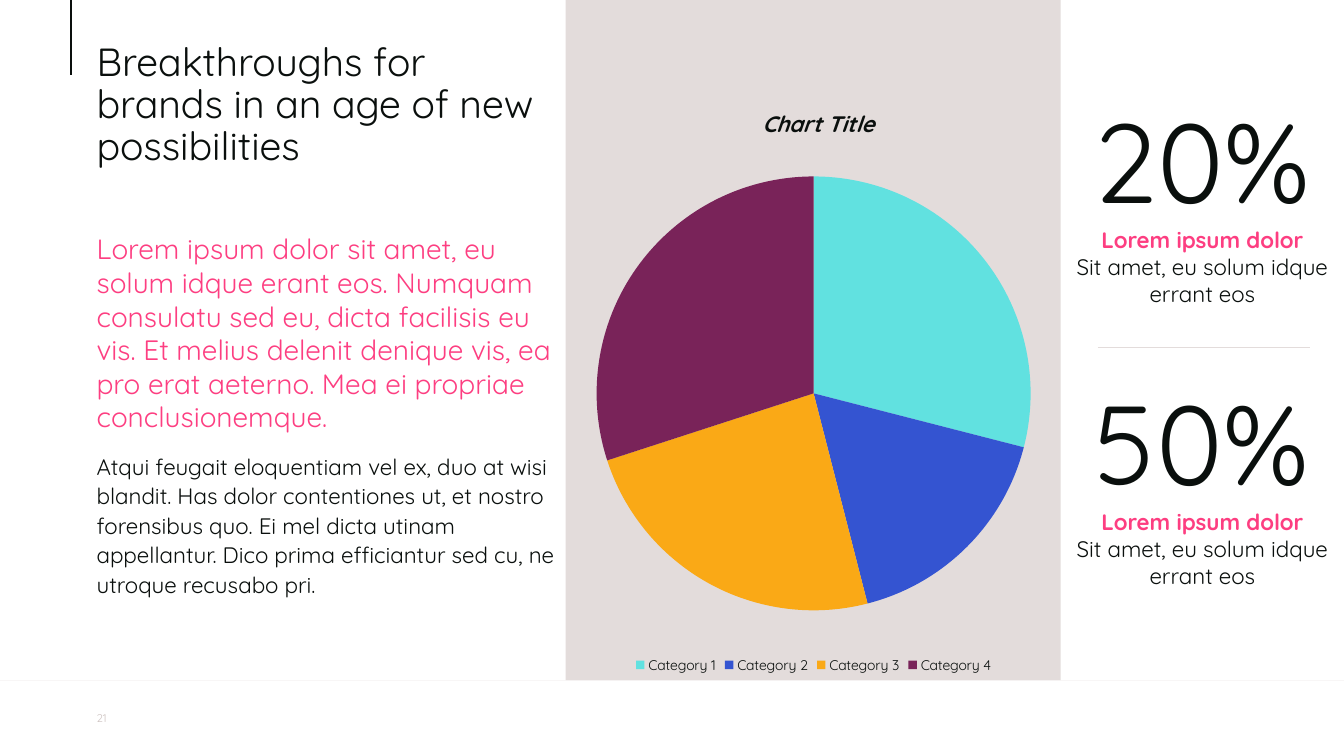
import pptx
import pptx.chart.data
import pptx.dml.color
import pptx.enum.chart
import pptx.enum.shapes
import pptx.enum.text
import pptx.oxml
import pptx.oxml.ns
import pptx.util

EMU_PER_PX = 9144
FONT = "Quicksand"
INK, PINK, SAND, WHITE, MUTED = "0A0F0D", "FD3E81", "E3DCDB", "FFFFFF", "CEC3C1"
SLICES = [
    ("Category 1", 29, "61E1E0"),
    ("Category 2", 17, "3454D1"),
    ("Category 3", 24, "FAA916"),
    ("Category 4", 30, "792359"),
]
STATS = [
    ("20%", "Lorem ipsum dolor", "Sit amet, eu solum idque errant eos"),
    ("50%", "Lorem ipsum dolor", "Sit amet, eu solum idque errant eos"),
]
LEAD = (
    "Lorem ipsum dolor sit amet, eu solum idque erant eos. Numquam consulatu sed eu, "
    "dicta facilisis eu vis. Et melius delenit denique vis, ea pro erat aeterno. "
    "Mea ei propriae conclusionemque."
)
DETAIL = (
    "Atqui feugait eloquentiam vel ex, duo at wisi blandit. Has dolor contentiones ut, "
    "et nostro forensibus quo. Ei mel dicta utinam appellantur. Dico prima efficiantur "
    "sed cu, ne utroque recusabo pri."
)


def px(length):
    return pptx.util.Emu(length * EMU_PER_PX)


def color(value):
    return pptx.dml.color.RGBColor.from_string(value)


def apply(target, values):
    for name, value in values.items():
        setattr(target, name, value)


def style_font(font, size, fill=INK, **extra):
    apply(font, {"name": FONT, "size": pptx.util.Pt(size), **extra})
    font.color.rgb = color(fill)


def add_panel(slide, box, fill):
    shape = slide.shapes.add_shape(
        pptx.enum.shapes.MSO_SHAPE.RECTANGLE, *map(px, box)
    )
    shape.shadow.inherit = False
    shape.fill.solid()
    shape.fill.fore_color.rgb = color(fill)
    shape.line.fill.background()
    return shape


def add_rule(slide, start, end, fill, width):
    connector = slide.shapes.add_connector(
        pptx.enum.shapes.MSO_CONNECTOR.STRAIGHT, *map(px, start + end)
    )
    connector.line.color.rgb = color(fill)
    connector.line.width = pptx.util.Pt(width)
    properties = connector._element.spPr
    properties.append(pptx.oxml.parse_xml(
        f"<a:effectLst {pptx.oxml.ns.nsdecls('a')}/>"
    ))


def write(frame, paragraphs, **frame_format):
    apply(frame, {"word_wrap": True, **frame_format})
    for index, (text, font, layout) in enumerate(paragraphs):
        paragraph = frame.add_paragraph() if index else frame.paragraphs[0]
        run = paragraph.add_run()
        run.text = text
        style_font(run.font, **font)
        apply(paragraph, layout)


def add_text(slide, box, paragraphs, **frame_format):
    shape = slide.shapes.add_textbox(*map(px, box))
    write(shape.text_frame, paragraphs, **frame_format)


def add_story(slide, box):
    left, top, width, height = box
    add_panel(slide, box, WHITE)
    add_rule(slide, (left + 70, top), (left + 70, top + 74), INK, 1.5)
    title = "Breakthroughs for brands in an age of new possibilities"
    add_text(
        slide, (left + 86, top + 37, width - 86, 188),
        [(title, {"size": 28}, {"line_spacing": 0.9})],
    )
    after = pptx.util.Pt(12)
    add_text(slide, (left + 86, top + 225, width - 86, height - 226), [
        (LEAD, {"size": 20, "fill": PINK}, {"space_after": after}),
        (DETAIL, {"size": 16}, {"line_spacing": 1.1, "space_after": after}),
    ])


def add_footer(slide, box):
    left, top, width, height = box
    add_panel(slide, box, WHITE)
    add_text(
        slide, (left + 86, top + 21, 54, 32),
        [("21", {"size": 8, "fill": MUTED}, {})],
        vertical_anchor=pptx.enum.text.MSO_ANCHOR.MIDDLE,
    )


def add_stats(slide, box):
    left, top, width, height = box
    panel = add_panel(slide, box, WHITE)
    center = {"alignment": pptx.enum.text.PP_ALIGN.CENTER}
    paragraphs = []
    for figure, label, note in STATS:
        paragraphs += [
            (figure, {"size": 80}, center),
            (label, {"size": 16, "fill": PINK, "bold": True}, center),
            (note, {"size": 16}, {**center, "space_after": pptx.util.Pt(48)}),
        ]
    write(
        panel.text_frame, paragraphs, margin_top=px(91),
        vertical_anchor=pptx.enum.text.MSO_ANCHOR.TOP,
    )
    add_rule(slide, (left + 37, top + 345), (left + 247, top + 345), SAND, 1)


def set_layout(parent, position, **values):
    for old in parent.findall(pptx.oxml.ns.qn("c:layout")):
        parent.remove(old)
    items = "".join(f'<c:{name} val="{value}"/>' for name, value in values.items())
    parent.insert(position, pptx.oxml.parse_xml(
        f"<c:layout {pptx.oxml.ns.nsdecls('c')}>"
        f"<c:manualLayout>{items}</c:manualLayout></c:layout>"
    ))


def add_pie(slide, box):
    data = pptx.chart.data.CategoryChartData()
    data.categories = [name for name, share, fill in SLICES]
    data.add_series("Series 1", [share for name, share, fill in SLICES])
    chart = slide.shapes.add_chart(
        pptx.enum.chart.XL_CHART_TYPE.PIE, *map(px, box), data
    ).chart
    style_font(chart.font, 10)
    chart.has_title = True
    write(
        chart.chart_title.text_frame,
        [("Chart Title", {"size": 16, "bold": True, "italic": True}, {})],
    )
    set_layout(
        chart.chart_title._element, 1, xMode="edge", yMode="edge", x=0.38, y=0.04
    )
    set_layout(
        chart._chartSpace.chart.plotArea, 0, layoutTarget="inner",
        xMode="edge", yMode="edge", x=0.03, y=0.16, w=0.94, h=0.73,
    )
    chart.has_legend = True
    apply(chart.legend, {
        "position": pptx.enum.chart.XL_LEGEND_POSITION.BOTTOM,
        "include_in_layout": False,
    })
    style_font(chart.legend.font, 10)
    series = chart.plots[0].series[0]
    for index, (name, share, fill) in enumerate(SLICES):
        slice_format = series.points[index].format
        slice_format.fill.solid()
        slice_format.fill.fore_color.rgb = color(fill)
        slice_format.line.fill.background()


def main():
    presentation = pptx.Presentation()
    apply(presentation, {"slide_width": px(1333), "slide_height": px(750)})
    slide = presentation.slides.add_slide(presentation.slide_layouts[6])
    slide.background.fill.solid()
    slide.background.fill.fore_color.rgb = color(SAND)
    add_story(slide, (0, 0, 561, 675))
    add_footer(slide, (0, 675, 1333, 75))
    add_stats(slide, (1052, 0, 281, 675))
    add_pie(slide, (578, 79, 458, 593))
    presentation.save("out.pptx")


if __name__ == "__main__":
    main()
